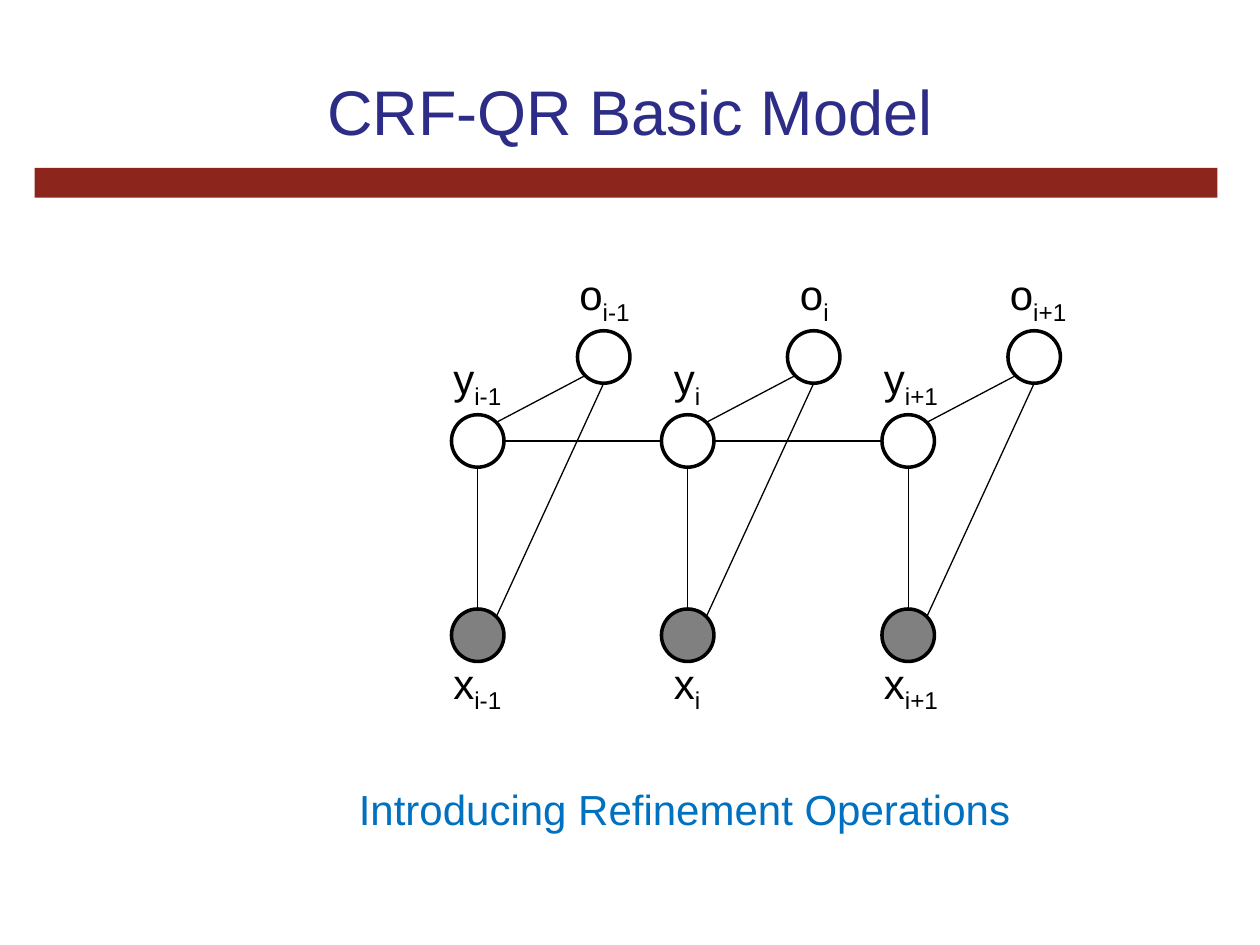
from lxml.etree import SubElement
from pptx import Presentation
from pptx.dml.color import RGBColor
from pptx.enum.shapes import MSO_CONNECTOR, MSO_SHAPE
from pptx.enum.text import MSO_ANCHOR, MSO_AUTO_SIZE, PP_ALIGN
from pptx.oxml.ns import qn
from pptx.util import Pt

TITLE = "CRF-QR Basic Model"
CAPTION = "Introducing Refinement Operations"
COLUMNS = [
    {"index": "i-1", "node": 258, "label": 252, "width": 45},
    {"index": "i", "node": 378, "label": 378, "width": 30.5},
    {"index": "i+1", "node": 504, "label": 498, "width": 49},
]
ROWS = {
    "y": {"shift": 0, "top": 237, "label_top": 198, "widen": 0, "fill": None},
    "x": {"shift": 0, "top": 348, "label_top": 372, "widen": 0, "fill": "808080"},
    "o": {"shift": 72, "top": 189, "label_top": 150, "widen": 1.5, "fill": None},
}
DIAMETER = 30
RADIUS = DIAMETER / 2
DIAGONAL = RADIUS * 0.71


def color(value):
    return RGBColor.from_string(value)


def add_text(slide, left, top, width, height, parts, size, ink, wrap=False):
    box = slide.shapes.add_textbox(Pt(left), Pt(top), Pt(width), Pt(height))
    frame = box.text_frame
    frame.word_wrap = wrap
    frame.auto_size = MSO_AUTO_SIZE.NONE if wrap else MSO_AUTO_SIZE.SHAPE_TO_FIT_TEXT
    para = frame.paragraphs[0]
    for position, part in enumerate(parts):
        span = para.add_run()
        span.text = part
        span.font.name = "Arial"
        span.font.size = Pt(size)
        span.font.color.rgb = color(ink)
        if position:
            span.font._element.set("baseline", "-25000")
    return frame


def add_node(slide, center, fill):
    x, y = center
    node = slide.shapes.add_shape(
        MSO_SHAPE.OVAL, Pt(x - RADIUS), Pt(y - RADIUS), Pt(DIAMETER), Pt(DIAMETER))
    node.shadow.inherit = False
    if fill:
        node.fill.solid()
        node.fill.fore_color.rgb = color(fill)
    else:
        node.fill.background()
    node.line.color.rgb = color("000000")
    node.line.width = Pt(2)


def add_edge(slide, start, start_offset, end, end_offset):
    points = [Pt(place + offset) for center, offsets in
              ((start, start_offset), (end, end_offset))
              for place, offset in zip(center, offsets)]
    edge = slide.shapes.add_connector(MSO_CONNECTOR.STRAIGHT, *points)
    edge.line.color.rgb = color("000000")
    edge.line.width = Pt(0.75)
    SubElement(edge._element.spPr, qn("a:effectLst"))


def main():
    deck = Presentation()
    deck.slide_width, deck.slide_height = Pt(720), Pt(540)
    slide = deck.slides.add_slide(deck.slide_layouts[6])

    bar = slide.shapes.add_shape(MSO_SHAPE.RECTANGLE, Pt(19.75), Pt(96), Pt(676), Pt(17))
    bar.shadow.inherit = False
    bar.fill.solid()
    bar.fill.fore_color.rgb = color("8C261C")
    bar.line.fill.background()

    title = add_text(slide, 36, 18, 648, 90, [TITLE], 36, "2D2D87", wrap=True)
    title.vertical_anchor = MSO_ANCHOR.MIDDLE
    title.paragraphs[0].alignment = PP_ALIGN.CENTER

    previous = None
    for column in COLUMNS:
        centers = {}
        for name, row in ROWS.items():
            centers[name] = (column["node"] + row["shift"] + RADIUS, row["top"] + RADIUS)
            add_node(slide, centers[name], row["fill"])
            add_text(slide, column["label"] + row["shift"], row["label_top"],
                     column["width"] + row["widen"], 36,
                     [name, column["index"]], 24, "000000")
        y, x, o = centers["y"], centers["x"], centers["o"]
        add_edge(slide, y, (0, RADIUS), x, (0, -RADIUS))
        add_edge(slide, y, (DIAGONAL, -DIAGONAL), o, (-DIAGONAL, DIAGONAL))
        add_edge(slide, x, (DIAGONAL, -DIAGONAL), o, (0, RADIUS))
        if previous:
            add_edge(slide, previous, (RADIUS, 0), y, (-RADIUS, 0))
        previous = y

    add_text(slide, 198, 444, 391, 36, [CAPTION], 24, "0070C0")
    deck.save("out.pptx")


if __name__ == "__main__":
    main()
